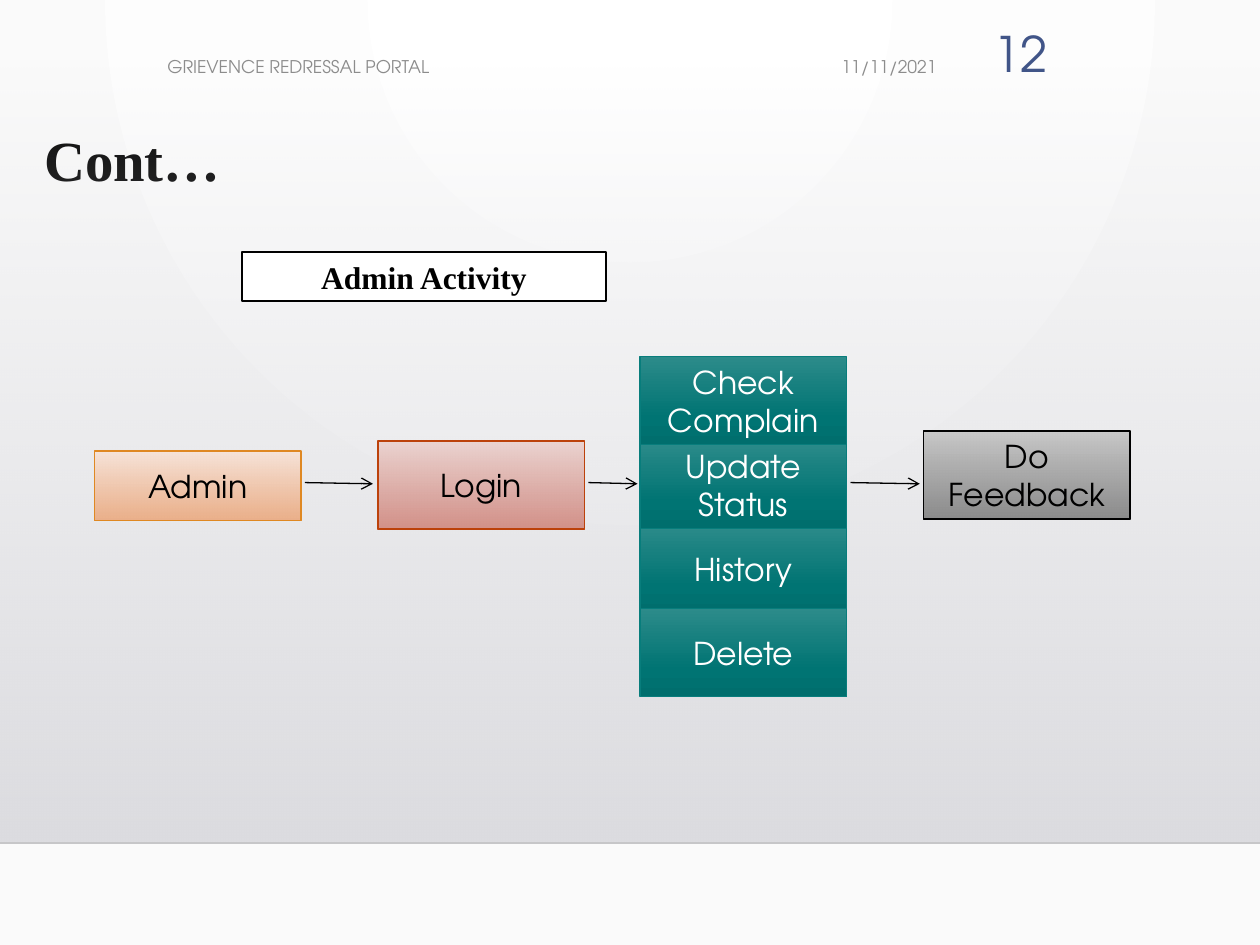
from lxml import etree
from pptx import Presentation
from pptx import util as u
from pptx.dml.color import RGBColor
from pptx.enum import shapes, text
from pptx.oxml.ns import qn

SANS, SERIF = "TeX Gyre Adventor", "Times New Roman"
LEFT, CENTER, RIGHT = text.PP_ALIGN.LEFT, text.PP_ALIGN.CENTER, text.PP_ALIGN.RIGHT
TOP, MIDDLE = text.MSO_ANCHOR.TOP, text.MSO_ANCHOR.MIDDLE


def paint(fill, *stops, holder=None, focus=None):
    """Fill with one hex colour, or with (position, hex, opacity) stops in holder."""
    if holder is None:
        fill.solid()
        fill.fore_color.rgb = RGBColor.from_string(stops[0])
        return
    fill.gradient()
    gradient = holder.find(qn("a:gradFill"))
    for child in list(gradient):
        gradient.remove(child)
    stop_list = etree.SubElement(gradient, qn("a:gsLst"))
    for position, colour, opacity in stops:
        stop = etree.SubElement(stop_list, qn("a:gs"), pos=str(position * 1000))
        rgb = etree.SubElement(stop, qn("a:srgbClr"), val=colour)
        if opacity < 100:
            etree.SubElement(rgb, qn("a:alpha"), val=str(opacity * 1000))
    if focus:
        circle = etree.SubElement(gradient, qn("a:path"), path="circle")
        etree.SubElement(circle, qn("a:fillToRect"),
                         **{side: str(share * 1000) for side, share in zip("ltrb", focus)})
    else:
        etree.SubElement(gradient, qn("a:lin"), ang="5400000", scaled="0")


def write(shape, words, size=18, font=SANS, colour="000000", bold=False,
          align=CENTER, anchor=MIDDLE, spacing=None):
    frame = shape.text_frame
    frame.word_wrap = True
    frame.auto_size = text.MSO_AUTO_SIZE.NONE
    frame.vertical_anchor = anchor
    paragraph = frame.paragraphs[0]
    paragraph.alignment = align
    paragraph.line_spacing = spacing
    run = paragraph.add_run()
    run.text = words
    run.font.size, run.font.name, run.font.bold = u.Pt(size), font, bold
    paint(run.font.fill, colour)


presentation = Presentation()
presentation.slide_width, presentation.slide_height = u.Inches(10), u.Inches(7.5)
slide = presentation.slides.add_slide(presentation.slide_layouts[5])

# Background: soft rings behind a panel that darkens downwards
background = slide.background.fill
paint(background, (0, "FFFFFF", 100), (100, "FAFAFA", 100), focus=(43, 0, 43, 100),
      holder=slide.element.find(".//" + qn("p:bgPr")))
panel = slide.shapes.add_shape(shapes.MSO_SHAPE.RECTANGLE, 0, u.Inches(0.51),
                               u.Inches(10), u.Inches(6.18))
panel.shadow.inherit = False
panel.line.fill.background()
paint(panel.fill, (0, "DCDCE0", 0), (100, "DEDEE2", 100), holder=panel.element.spPr)

# Title
title = slide.shapes.title
title.left, title.top = u.Inches(0.25), u.Inches(1)
title.width, title.height = u.Inches(8.93), u.Inches(0.67)
write(title, "Cont…", size=32.4, font=SERIF, bold=True, align=LEFT, anchor=TOP, spacing=0.9)

# Boxes of the activity flow
peach = [(0, "F7E3D8", 100), (100, "EBAB82", 92)]
rose = [(0, "EBD4D1", 100), (100, "D18A81", 92)]
teal = [(0, "2C8B8A", 100), (69, "007473", 100), (100, "006E6D", 100)]
grey = [(0, "C8C8C8", 100), (100, "848484", 92)]
boxes = [
    ("Admin", 0.75, 3.58, 0.55, peach, "DF8822", "000000"),
    ("Login", 3, 3.5, 0.7, rose, "BC410A", "000000"),
    ("Do Feedback", 7.33, 3.42, 0.7, grey, "000000", "000000"),
]
actions = ["Check Complain", "Update Status", "History", "Delete"]
for row in (2, 1, 0, 3):
    boxes.append((actions[row], 5.08, 2.83 + row * 2 / 3, 0.7, teal, "087D7C", "FFFFFF"))
for words, left, top, height, stops, outline, colour in boxes:
    box = slide.shapes.add_shape(shapes.MSO_SHAPE.RECTANGLE, u.Inches(left), u.Inches(top),
                                 u.Inches(1.64), u.Inches(height))
    box.shadow.inherit = False
    paint(box.fill, *stops, holder=box.element.spPr)
    paint(box.line.fill, outline)
    box.line.width = u.Pt(0.75)
    write(box, words, colour=colour)

# Arrows between the boxes, and the rule under the panel
lines = [
    (2.42, 3.83, 2.96, 3.84, "000000", 0.75, True),
    (4.67, 3.83, 5.06, 3.84, "000000", 0.75, True),
    (6.75, 3.83, 7.3, 3.84, "000000", 0.75, True),
    (0, 6.69, 10, 6.69, "C6C6C8", 1, False),
]
for x1, y1, x2, y2, colour, width, arrow in lines:
    line = slide.shapes.add_connector(shapes.MSO_CONNECTOR.STRAIGHT, u.Inches(x1),
                                      u.Inches(y1), u.Inches(x2), u.Inches(y2))
    paint(line.line.fill, colour)
    line.line.width = u.Pt(width)
    if arrow:
        etree.SubElement(line.line._get_or_add_ln(), qn("a:tailEnd"), type="arrow")
    etree.SubElement(line.element.spPr, qn("a:effectLst"))

# Heading of the flow
heading = slide.shapes.add_shape(shapes.MSO_SHAPE.RECTANGLE, u.Inches(1.92), u.Inches(2),
                                 u.Inches(2.89), u.Inches(0.39))
heading.shadow.inherit = False
paint(heading.fill, "FFFFFF")
paint(heading.line.fill, "000000")
heading.line.width = u.Pt(1.25)
write(heading, "Admin Activity", font=SERIF, bold=True)

# Date, running header and slide number
labels = [
    ("11/11/2021", 4.94, 0.36, 2.59, 0.33, 10, "8C8C8C", RIGHT, MIDDLE),
    ("GRIEVENCE REDRESSAL PORTAL", 1.23, 0.36, 3.71, 0.34, 10, "8C8C8C", LEFT, MIDDLE),
    ("12", 7.54, 0.14, 0.87, 0.55, 28, "415588", RIGHT, TOP),
]
for words, left, top, width, height, size, colour, align, anchor in labels:
    label = slide.shapes.add_textbox(u.Inches(left), u.Inches(top),
                                     u.Inches(width), u.Inches(height))
    write(label, words, size=size, colour=colour, align=align, anchor=anchor)

presentation.save("out.pptx")
